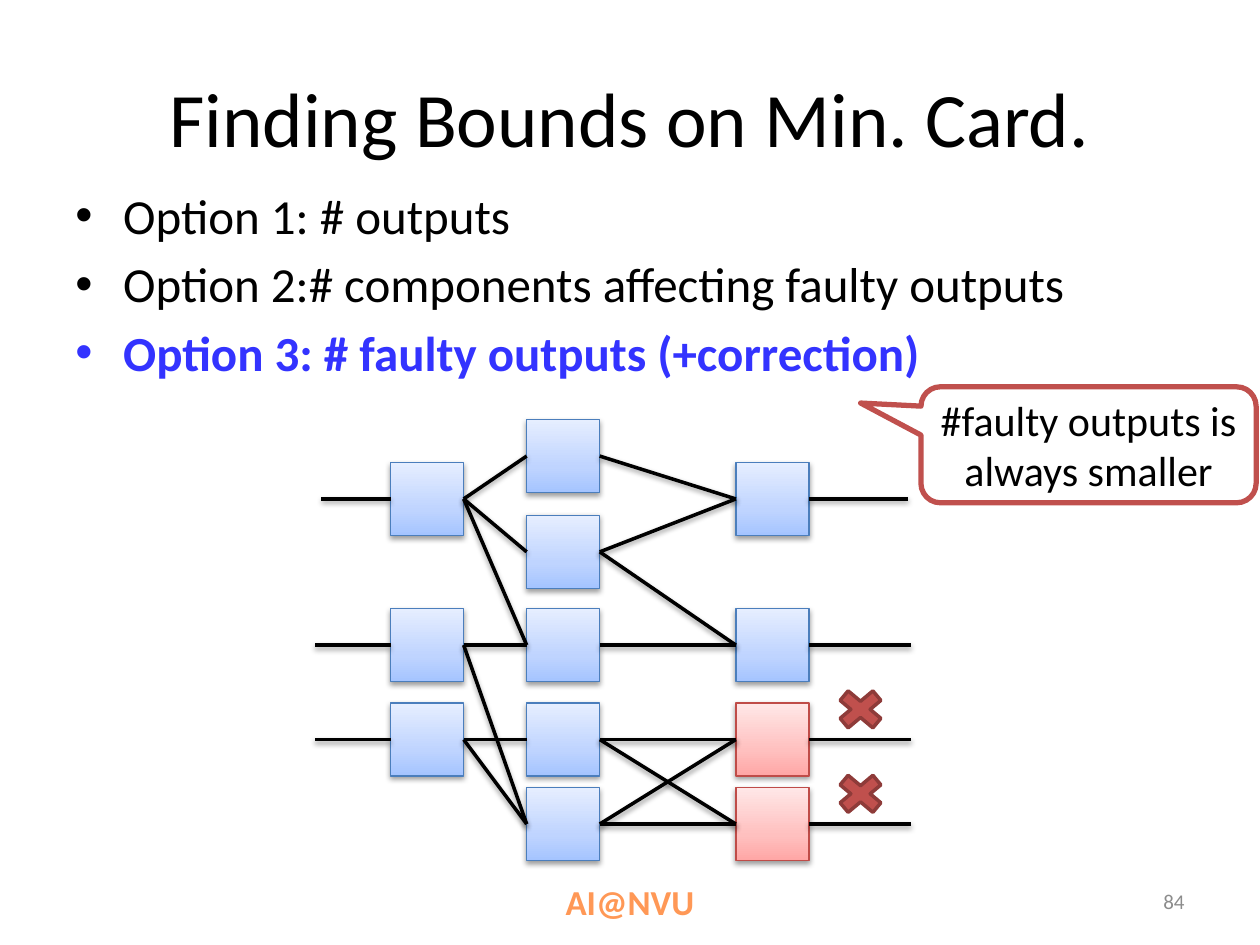
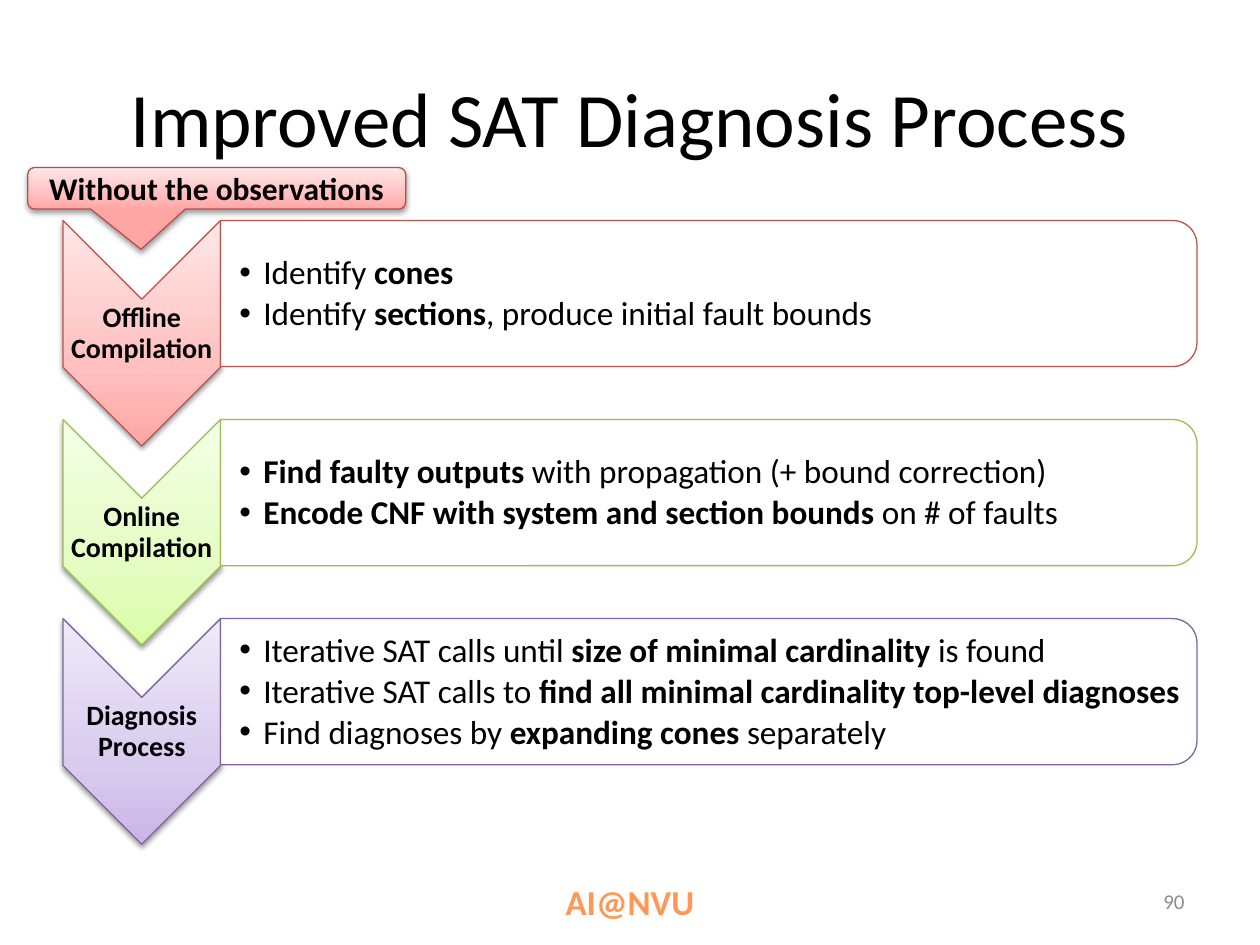
"""Build two slides on fault bounds and the improved SAT diagnosis process."""
from dataclasses import dataclass
from typing import Optional

from lxml.etree import SubElement
from pptx import Presentation
from pptx.dml.color import RGBColor
from pptx.enum.shapes import MSO_CONNECTOR, MSO_SHAPE
from pptx.enum.text import MSO_ANCHOR, PP_ALIGN
from pptx.oxml import parse_xml
from pptx.oxml.ns import nsdecls, qn
from pptx.util import Inches, Pt

FONT = "Calibri"
COLORS = {
    "text": "000000", "white": "FFFFFF", "number": "8C8C8C", "footer": "FF9856",
    "highlight": "3333FF", "red": "C0504D", "dark_red": "8E3B39",
}


@dataclass(frozen=True)
class Look:
    stops: tuple[str, str, str]
    line: str


@dataclass(frozen=True)
class Gate:
    x: float
    y: float
    look: Look

    @property
    def right(self) -> float:
        return self.x + GATE_SIZE


@dataclass(frozen=True)
class Step:
    label: str
    points: tuple[str, ...]
    look: Look


RED_STOPS = ("FFA6A5", "FFC0BF", "FFE7E7")
BLUE = Look(("A4C4FF", "BFD4FF", "E6EEFF"), "4B7EBC")
FAULTY = Look(RED_STOPS, "BF4C48")
OFFLINE = Look(RED_STOPS, "C0504D")
ONLINE = Look(("DAFDA7", "E4FCC2", "F5FFE7"), "9BBB59")
DIAGNOSIS = Look(("C9B5E8", "D8CBEE", "F0EAF9"), "8064A2")

GATE_SIZE = 0.58
INPUTS = [Gate(3.1, y, BLUE) for y in (3.96, 5.12, 5.87)]
MIDDLES = [Gate(4.18, y, BLUE) for y in (3.62, 4.38, 5.12, 5.87, 6.54)]
OUTPUTS = [Gate(5.84, y, look) for y, look in
           ((3.96, BLUE), (5.12, BLUE), (5.87, FAULTY), (6.54, FAULTY))]
INPUT_WIRES = [(0, 0), (0, 1), (0, 2), (1, 2), (1, 4), (2, 3), (2, 4)]
OUTPUT_WIRES = [(0, 0), (1, 0), (1, 1), (2, 1), (3, 2), (3, 3), (4, 2), (4, 3)]

STEP_TOP, STEP_PITCH = 1.75, 1.58
STEPS = [
    Step("Offline Compilation",
         ("Identify **cones**",
          "Identify **sections**, produce initial fault bounds"), OFFLINE),
    Step("Online Compilation",
         ("**Find faulty outputs** with propagation (+ bound correction)",
          "**Encode CNF with system and section bounds **on # of faults"), ONLINE),
    Step("Diagnosis Process",
         ("Iterative SAT calls until **size of minimal cardinality **is found",
          "Iterative SAT calls to **find all minimal cardinality top-level diagnoses**",
          "Find diagnoses by **expanding cones** separately"), DIAGNOSIS),
]


def rgb(color: str) -> RGBColor:
    return RGBColor.from_string(COLORS.get(color, color))


def add_bullet(p, indent: float) -> None:
    pPr = p._p.get_or_add_pPr()
    pPr.set("marL", str(Inches(indent)))
    pPr.set("indent", str(-Inches(indent)))
    SubElement(pPr, qn("a:buFont")).set("typeface", "Arial")
    SubElement(pPr, qn("a:buChar")).set("char", "•")


def write_text(tf, *lines: str, size: float, color: str = "text", bold: bool = False,
               align=PP_ALIGN.LEFT, anchor=MSO_ANCHOR.MIDDLE, indent: float = 0,
               spacing: float = 1, before: float = 0, after: float = 0,
               insets: Optional[tuple[float, float]] = None,
               highlight: Optional[int] = None) -> None:
    tf.word_wrap = True
    tf.vertical_anchor = anchor
    if insets:
        left, other = insets
        tf.margin_left = Inches(left)
        tf.margin_right = tf.margin_top = tf.margin_bottom = Inches(other)
    for i, line in enumerate(lines):
        p = tf.add_paragraph() if i else tf.paragraphs[0]
        p.alignment = align
        p.line_spacing = spacing
        p.space_before, p.space_after = Pt(before), Pt(after)
        if indent:
            add_bullet(p, indent)
        for j, part in enumerate(line.split("**")):
            if part:
                r = p.add_run()
                r.text = part
                r.font.name, r.font.size = FONT, Pt(size)
                r.font.bold = bold or j % 2 == 1 or i == highlight
                r.font.color.rgb = rgb("highlight" if i == highlight else color)


def add_text(s, x: float, y: float, w: float, h: float, *lines: str, **fmt) -> None:
    box = s.shapes.add_textbox(Inches(x), Inches(y), Inches(w), Inches(h))
    write_text(box.text_frame, *lines, **fmt)


def add_shadow(spPr) -> None:
    effects = spPr.find(qn("a:effectLst"))
    if effects is None:
        effects = SubElement(spPr, qn("a:effectLst"))
    effects.append(parse_xml(
        f'<a:outerShdw {nsdecls("a")} blurRad="40000" dist="20000" dir="5400000" '
        'rotWithShape="0"><a:srgbClr val="000000"><a:alpha val="38000"/>'
        '</a:srgbClr></a:outerShdw>'))


def fill_gradient(sp, stops: tuple[str, str, str]) -> None:
    sp.fill.gradient()
    spPr = sp._element.spPr
    marks = "".join(f'<a:gs pos="{pos}"><a:srgbClr val="{color}"/></a:gs>'
                    for pos, color in zip((0, 35000, 100000), stops))
    spPr.replace(spPr.find(qn("a:gradFill")), parse_xml(
        f'<a:gradFill {nsdecls("a")} rotWithShape="0"><a:gsLst>{marks}</a:gsLst>'
        '<a:lin ang="16200000" scaled="0"/></a:gradFill>'))


def add_shape(s, kind, x: float, y: float, w: float, h: float, *,
              look: Optional[Look] = None, fill: str = "white", line: str = "red",
              width: float = 0.75, rotation: float = 0):
    sp = s.shapes.add_shape(kind, Inches(x), Inches(y), Inches(w), Inches(h))
    sp.rotation = rotation
    sp.shadow.inherit = False
    if look:
        fill_gradient(sp, look.stops)
        add_shadow(sp._element.spPr)
    else:
        sp.fill.solid()
        sp.fill.fore_color.rgb = rgb(fill)
    sp.line.color.rgb = rgb(look.line if look else line)
    sp.line.width = Pt(width)
    return sp


def add_turned(s, kind, x: float, y: float, w: float, h: float, **style) -> None:
    """Add a quarter-turned shape that covers the given box."""
    add_shape(s, kind, x + (w - h) / 2, y + (h - w) / 2, h, w, rotation=90, **style)


def add_callout(s, x: float, y: float, w: float, h: float,
                tip: tuple[float, float], **style):
    sp = add_shape(s, MSO_SHAPE.ROUNDED_RECTANGULAR_CALLOUT, x, y, w, h, **style)
    sp.adjustments[0], sp.adjustments[1] = tip
    return sp.text_frame


def add_wire(s, x1: float, y1: float, x2: float, y2: float) -> None:
    wire = s.shapes.add_connector(MSO_CONNECTOR.STRAIGHT, Inches(x1), Inches(y1),
                                  Inches(x2), Inches(y2))
    wire.line.color.rgb = rgb("text")
    wire.line.width = Pt(2)
    add_shadow(wire._element.spPr)


def add_slide(prs, title: str, number: int):
    s = prs.slides.add_slide(prs.slide_layouts[6])
    add_text(s, 4.39, 6.94, 3.17, 0.4, "AI@NVU", size=20, color="footer", bold=True,
             anchor=MSO_ANCHOR.TOP)
    add_text(s, 0.5, 0.3, 9, 1.25, title, size=44, align=PP_ALIGN.CENTER)
    add_text(s, 7.17, 6.95, 2.33, 0.4, str(number), size=12, color="number",
             align=PP_ALIGN.RIGHT)
    return s


def build_bounds(prs) -> None:
    s = add_slide(prs, "Finding Bounds on Min. Card.", 84)
    add_text(s, 0.5, 1.42, 9, 4.95, "Option 1: # outputs",
             "Option 2:# components affecting faulty outputs",
             "Option 3: # faulty outputs (+correction)",
             size=28, indent=0.38, before=5.6, anchor=MSO_ANCHOR.TOP, highlight=2)
    for gate in INPUTS + MIDDLES + OUTPUTS:
        add_shape(s, MSO_SHAPE.RECTANGLE, gate.x, gate.y - GATE_SIZE / 2,
                  GATE_SIZE, GATE_SIZE, look=gate.look)
    links = [(INPUTS[a], MIDDLES[b]) for a, b in INPUT_WIRES]
    links += [(MIDDLES[a], OUTPUTS[b]) for a, b in OUTPUT_WIRES]
    for start, end in links:
        add_wire(s, start.right, start.y, end.x, end.y)
    for i, gate in enumerate(INPUTS):
        add_wire(s, 2.5 if i else 2.55, gate.y, gate.x, gate.y)
    for i, gate in enumerate(OUTPUTS):
        add_wire(s, gate.right, gate.y, 7.23 if i else 7.21, gate.y)
        if gate.look is FAULTY:
            add_shape(s, MSO_SHAPE.MATH_MULTIPLY, 6.58, gate.y - 0.45, 0.5, 0.42,
                      fill="red", line="dark_red", width=2)
    tf = add_callout(s, 7.31, 3.07, 2.66, 0.92, (-0.68, -0.36), width=3)
    write_text(tf, "#faulty outputs is always smaller", size=24, align=PP_ALIGN.CENTER)


def build_process(prs) -> None:
    s = add_slide(prs, "Improved SAT Diagnosis Process", 90)
    for i, step in enumerate(STEPS):
        top = STEP_TOP + i * STEP_PITCH
        add_turned(s, MSO_SHAPE.CHEVRON, 0.5, top, 1.25, 1.79, look=step.look)
        add_text(s, 0.5, top + 0.63, 1.25, 0.54, step.label, size=16, bold=True,
                 align=PP_ALIGN.CENTER, spacing=0.9, insets=(0.01, 0.01))
        add_turned(s, MSO_SHAPE.ROUND_2_SAME_RECTANGLE, 1.75, top, 7.75, 1.16,
                   line=step.look.line)
        add_text(s, 1.75, top + 0.06, 7.69, 1.05, *step.points, size=19, indent=0.19,
                 spacing=0.9, after=2.85, insets=(0.15, 0.01))
    tf = add_callout(s, 0.22, 1.33, 3, 0.33, (-0.2, 1.47), look=FAULTY)
    write_text(tf, "Without the observations", size=18, bold=True,
               align=PP_ALIGN.CENTER)


def main() -> None:
    prs = Presentation()
    prs.slide_width, prs.slide_height = Inches(10), Inches(7.5)
    build_bounds(prs)
    build_process(prs)
    prs.save("out.pptx")


if __name__ == "__main__":
    main()
